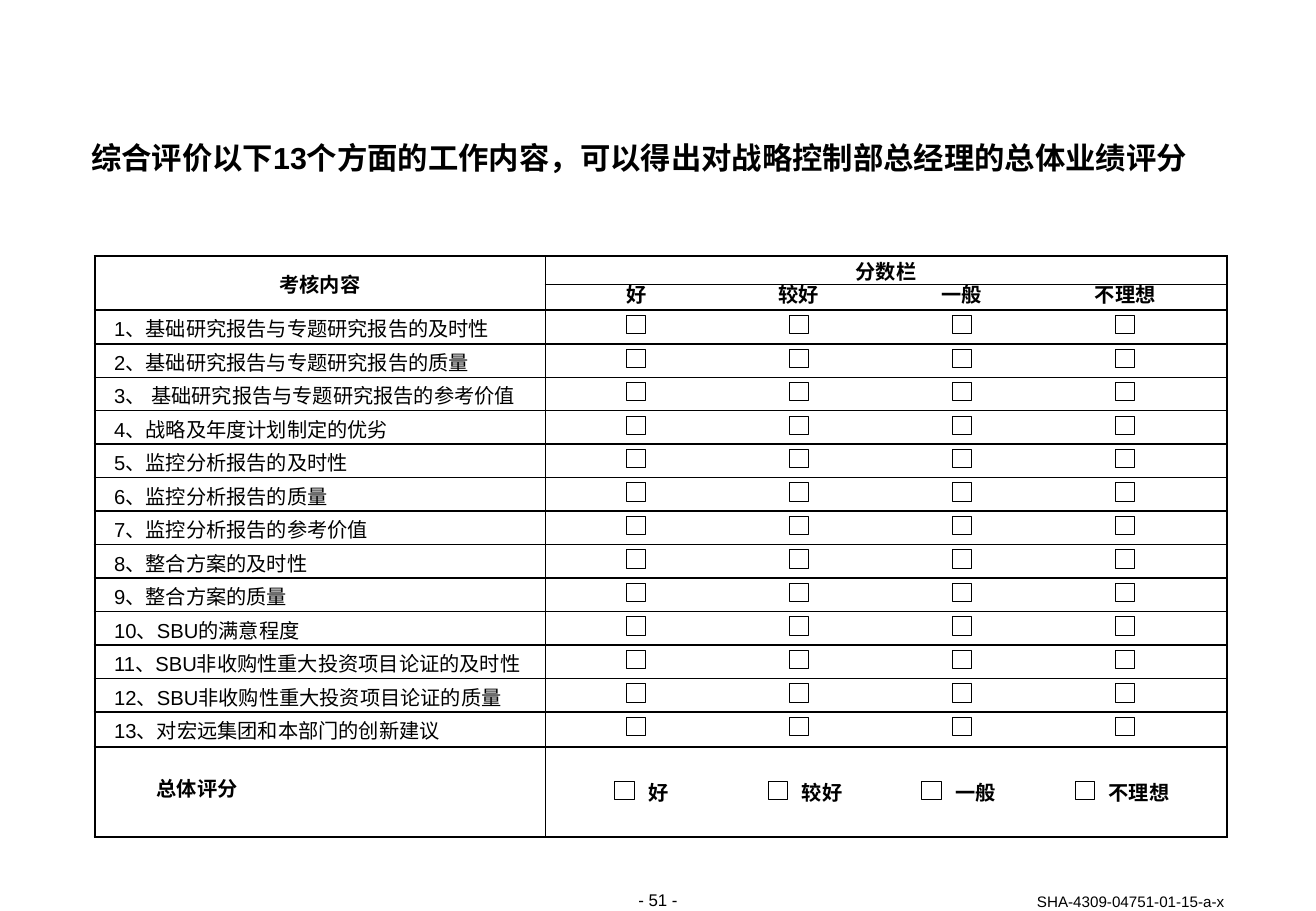
import pptx
import pptx.util
import pptx.dml.color
import pptx.enum.shapes
import pptx.enum.text
import pptx.oxml.ns
from lxml import etree

Pt = pptx.util.Pt
ALIGN = pptx.enum.text.PP_ALIGN
ANCHOR = pptx.enum.text.MSO_ANCHOR
qn = pptx.oxml.ns.qn
BLACK = pptx.dml.color.RGBColor(0x00, 0x00, 0x00)
WHITE = pptx.dml.color.RGBColor(0xFF, 0xFF, 0xFF)
FONT = "Arial"
NO_STYLE = "{2D5ABB26-0587-4C30-8999-92F81FD0307C}"

GRADES = ["好", "较好", "一般", "不理想"]
ITEMS = [
    "1、基础研究报告与专题研究报告的及时性",
    "2、基础研究报告与专题研究报告的质量",
    "3、 基础研究报告与专题研究报告的参考价值",
    "4、战略及年度计划制定的优劣",
    "5、监控分析报告的及时性",
    "6、监控分析报告的质量",
    "7、监控分析报告的参考价值",
    "8、整合方案的及时性",
    "9、整合方案的质量",
    "10、SBU的满意程度",
    "11、SBU非收购性重大投资项目论证的及时性",
    "12、SBU非收购性重大投资项目论证的质量",
    "13、对宏远集团和本部门的创新建议",
]


def write(tf, text, size=12, bold=False, align=ALIGN.LEFT, spacing=None):
    tf.text = text
    p = tf.paragraphs[0]
    p.alignment = align
    if spacing:
        p.line_spacing = Pt(spacing)
    r = p.runs[0]
    r.font.size, r.font.bold, r.font.name = Pt(size), bold, FONT
    r.font.color.rgb = BLACK
    etree.SubElement(r.font._element, qn("a:ea"), typeface=FONT)


def frame(sp, left, top, width, height, anchor=ANCHOR.TOP):
    sp.left, sp.top, sp.width, sp.height = Pt(left), Pt(top), Pt(width), Pt(height)
    tf = sp.text_frame
    tf.margin_left = tf.margin_top = tf.margin_right = tf.margin_bottom = 0
    tf.word_wrap = True
    tf.auto_size = pptx.enum.text.MSO_AUTO_SIZE.NONE
    tf.vertical_anchor = anchor
    return tf


prs = pptx.Presentation()
prs.slide_width, prs.slide_height = Pt(780.48), Pt(540)
s = prs.slides.add_slide(prs.slide_layouts[5])

# Title
tf = frame(s.shapes.title, 54, 84.2, 671.8, 20.2)
write(tf, "综合评价以下13个方面的工作内容，可以得出对战略控制部总经理的总体业绩评分",
      18, True, spacing=20)

# Table grid
LEFT, TOP = 56.2, 151.9
COL_WIDTHS = [267.1, 102.2, 96.5, 96.5, 109.2]
ROW_HEIGHTS = [16.6, 13.7] + [19.85] * 12 + [20.9, 53.3]
LAST = len(ROW_HEIGHTS) - 1
gf = s.shapes.add_table(len(ROW_HEIGHTS), len(COL_WIDTHS), Pt(LEFT), Pt(TOP),
                        Pt(sum(COL_WIDTHS)), Pt(sum(ROW_HEIGHTS)))
table = gf.table
table.first_row = table.horz_banding = False
table._tbl.tblPr.find(qn("a:tableStyleId")).text = NO_STYLE
for column, width in zip(table.columns, COL_WIDTHS):
    column.width = Pt(width)
for row, height in zip(table.rows, ROW_HEIGHTS):
    row.height = Pt(height)

# Cell borders, zero for none; the merged score heading ends at the right edge
H_LINES = [1.5, 0.5, 1.5] + [1] * 12 + [1.5, 1.5]
V_LINES = [1.5, 0.5, 0, 0, 0, 1.5]
for i in range(len(ROW_HEIGHTS)):
    for j in range(len(COL_WIDTHS)):
        cell = table.cell(i, j)
        cell.margin_left = cell.margin_top = cell.margin_right = cell.margin_bottom = 0
        cell.vertical_anchor = ANCHOR.TOP
        etree.SubElement(cell.text_frame.paragraphs[0]._p, qn("a:endParaRPr"), sz="600")
        weights = {"L": V_LINES[j],
                   "R": 1.5 if (i, j) == (0, 1) else V_LINES[j + 1],
                   "T": 0 if (i, j) == (1, 0) else H_LINES[i],
                   "B": 0 if (i, j) == (0, 0) else H_LINES[i + 1]}
        for side, weight in weights.items():
            ln = etree.SubElement(cell._tc.tcPr, qn("a:ln" + side), w=str(int(Pt(weight))))
            if weight:
                fill = etree.SubElement(ln, qn("a:solidFill"))
                etree.SubElement(fill, qn("a:srgbClr"), val=str(BLACK))
            else:
                etree.SubElement(ln, qn("a:noFill"))
        cell.fill.background()

# Table headings
cell = table.cell(0, 0)
cell.merge(table.cell(1, 0))
cell.vertical_anchor = ANCHOR.MIDDLE
cell.margin_top = Pt(2)
write(cell.text_frame, "考核内容", bold=True, align=ALIGN.CENTER)
cell = table.cell(0, 1)
cell.merge(table.cell(0, 4))
cell.margin_top = Pt(2.8)
write(cell.text_frame, "分数栏", bold=True, align=ALIGN.CENTER)

# Assessed items
for i, item in enumerate(ITEMS):
    cell = table.cell(i + 2, 0)
    cell.margin_left, cell.margin_top = Pt(11.5), Pt(4.8)
    write(cell.text_frame, item)

# Overall score label
cell = table.cell(LAST, 0)
cell.margin_left, cell.margin_top = Pt(36.7), Pt(18)
write(cell.text_frame, "总体评分", bold=True)

# Grade headings, overall grades and the places of their check boxes
boxes = []
for j, grade in enumerate(GRADES):
    cell = table.cell(1, j + 1)
    cell.margin_left = Pt(5.8 if j == 0 else 0)
    cell.margin_right = Pt(11.5 if j == 3 else 0)
    write(cell.text_frame, grade, bold=True, align=ALIGN.CENTER)

    overall_x = 364.6 + 91 * j
    cell = table.cell(LAST, j + 1)
    cell.margin_left = Pt(overall_x + 20 - LEFT - sum(COL_WIDTHS[:j + 1]))
    cell.margin_top = Pt(20.9)
    write(cell.text_frame, grade, bold=True)

    boxes += [(371.5 + 96.6 * j, 187 + 19.85 * i) for i in range(len(ITEMS))]
    boxes.append((overall_x, 463))

# Check boxes
for x, y in boxes:
    sp = s.shapes.add_shape(pptx.enum.shapes.MSO_SHAPE.RECTANGLE,
                            Pt(x), Pt(y), Pt(11.6), Pt(10.9))
    sp.shadow.inherit = False
    sp.fill.solid()
    sp.fill.fore_color.rgb = WHITE
    sp.line.color.rgb = BLACK
    sp.line.width = Pt(0.5)

# Page number and document code
tf = frame(s.shapes.add_textbox(0, 0, 0, 0), 349.2, 527.4, 82.1, 12.2)
write(tf, "- 51 -", 10, align=ALIGN.CENTER)
tf = frame(s.shapes.add_textbox(0, 0, 0, 0), 550.4, 528.8, 175.7, 10.8, ANCHOR.BOTTOM)
write(tf, "SHA-4309-04751-01-15-a-x", 9, align=ALIGN.RIGHT, spacing=11)

prs.save("out.pptx")
